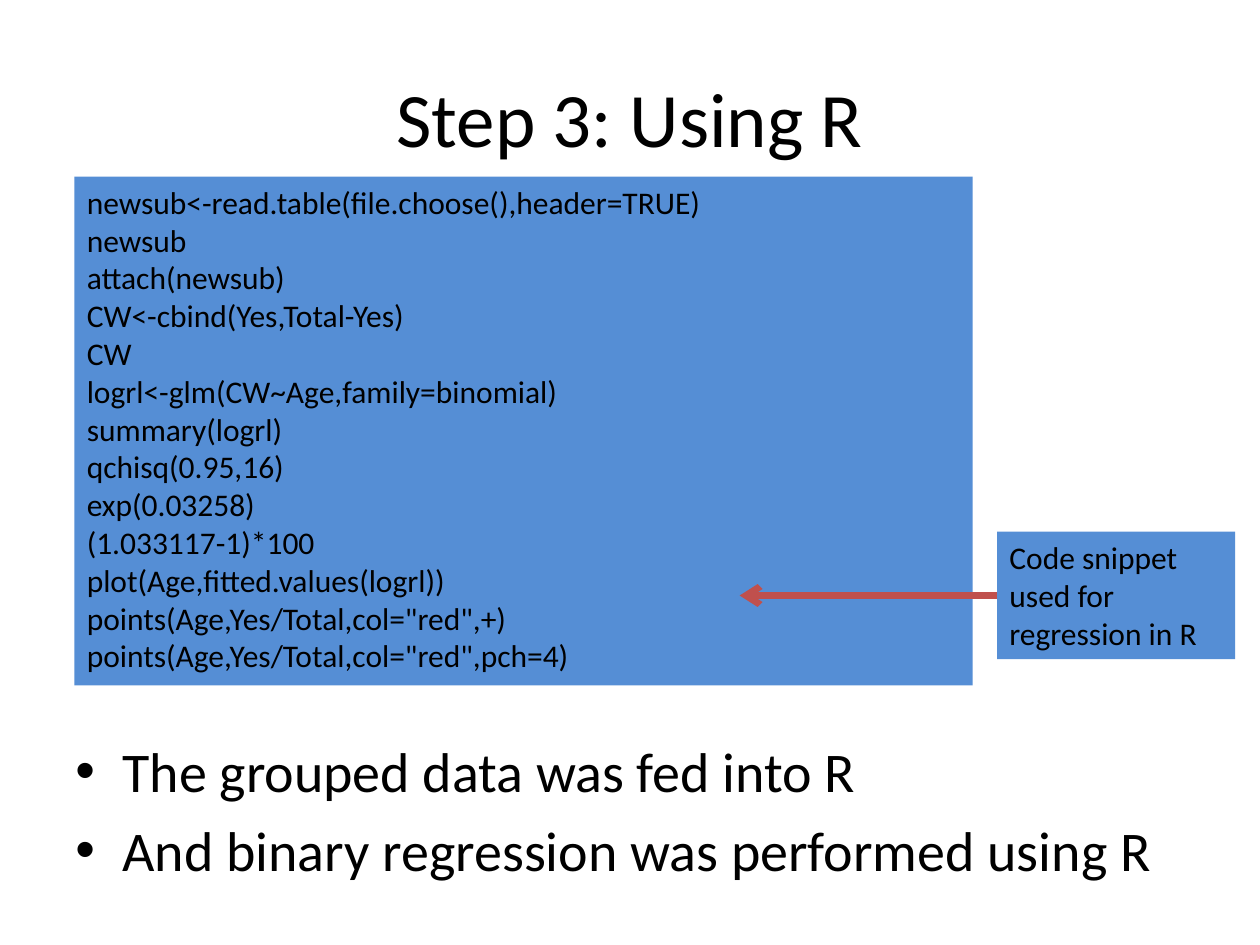
from lxml.etree import SubElement
from pptx import Presentation
from pptx.dml.color import RGBColor
from pptx.enum.shapes import MSO_CONNECTOR, MSO_SHAPE
from pptx.enum.text import MSO_ANCHOR, PP_ALIGN
from pptx.oxml.ns import qn
from pptx.util import Cm, Pt

BLACK = RGBColor(0x00, 0x00, 0x00)
BLUE = RGBColor(0x55, 0x8E, 0xD5)
RED = RGBColor(0xC0, 0x50, 0x4D)

CODE = [
    "newsub<-read.table(file.choose(),header=TRUE)",
    "newsub",
    "attach(newsub)",
    "CW<-cbind(Yes,Total-Yes)",
    "CW",
    "logrl<-glm(CW~Age,family=binomial)",
    "summary(logrl)",
    "qchisq(0.95,16)",
    "exp(0.03258)",
    "(1.033117-1)*100",
    "plot(Age,fitted.values(logrl))",
    'points(Age,Yes/Total,col="red",+)',
    'points(Age,Yes/Total,col="red",pch=4)',
]
POINTS = [
    "The grouped data was fed into R",
    "And binary regression was performed using R",
]


def write_text(tf, lines, font="Calibri", size=18, color=BLACK,
               align=PP_ALIGN.LEFT, anchor=MSO_ANCHOR.TOP, bullet=None):
    """Fill a text frame with one paragraph per line."""
    tf.word_wrap = True
    tf.vertical_anchor = anchor
    for i, line in enumerate(lines):
        p = tf.add_paragraph() if i else tf.paragraphs[0]
        p.alignment = align
        r = p.add_run()
        r.text = line
        r.font.name = font
        r.font.size = Pt(size)
        r.font.color.rgb = color
        if bullet:
            p.space_before = Pt(0.2 * size)
            pPr = p._p.get_or_add_pPr()
            indent = Cm(0.95)
            pPr.set("marL", str(indent))
            pPr.set("indent", str(-indent))
            SubElement(pPr, qn("a:buFont"), typeface="Arial")
            SubElement(pPr, qn("a:buChar"), char=bullet)


class SlideBuilder:
    def __init__(self, slide, fill=BLUE, accent=RED):
        self.s = slide
        self.fill = fill
        self.accent = accent

    def text(self, x, y, w, h, lines, **fmt):
        sp = self.s.shapes.add_textbox(Cm(x), Cm(y), Cm(w), Cm(h))
        write_text(sp.text_frame, lines, **fmt)

    def box(self, x, y, w, h, lines, **fmt):
        sp = self.s.shapes.add_shape(MSO_SHAPE.RECTANGLE, Cm(x), Cm(y), Cm(w), Cm(h))
        sp.shadow.inherit = False
        sp.fill.solid()
        sp.fill.fore_color.rgb = self.fill
        sp.line.fill.background()
        write_text(sp.text_frame, lines, **fmt)

    def arrow(self, x1, y1, x2, y2, width=3.75):
        cxn = self.s.shapes.add_connector(
            MSO_CONNECTOR.STRAIGHT, Cm(x1), Cm(y1), Cm(x2), Cm(y2))
        cxn.line.color.rgb = self.accent
        cxn.line.width = Pt(width)
        SubElement(cxn.line._get_or_add_ln(), qn("a:tailEnd"), type="arrow")
        SubElement(cxn._element.spPr, qn("a:effectLst"))


def main():
    prs = Presentation()
    prs.slide_width, prs.slide_height = Cm(25.4), Cm(19.05)
    slide = SlideBuilder(prs.slides.add_slide(prs.slide_layouts[6]))

    slide.text(1.27, 0.76, 22.86, 3.18, ["Step 3: Using R"], size=44,
               align=PP_ALIGN.CENTER, anchor=MSO_ANCHOR.MIDDLE)
    slide.text(1.27, 14.73, 22.86, 3.81, POINTS, size=32, bullet="•")
    slide.box(1.5, 3.56, 18.11, 10.26, CODE)

    note_x, note_y, note_h = 20.1, 10.72, 2.57
    slide.box(note_x, note_y, 4.8, note_h, ["Code snippet used for regression in R"])
    arrow_y = note_y + note_h / 2
    slide.arrow(note_x, arrow_y, 14.91, arrow_y)

    prs.save("out.pptx")


if __name__ == "__main__":
    main()
